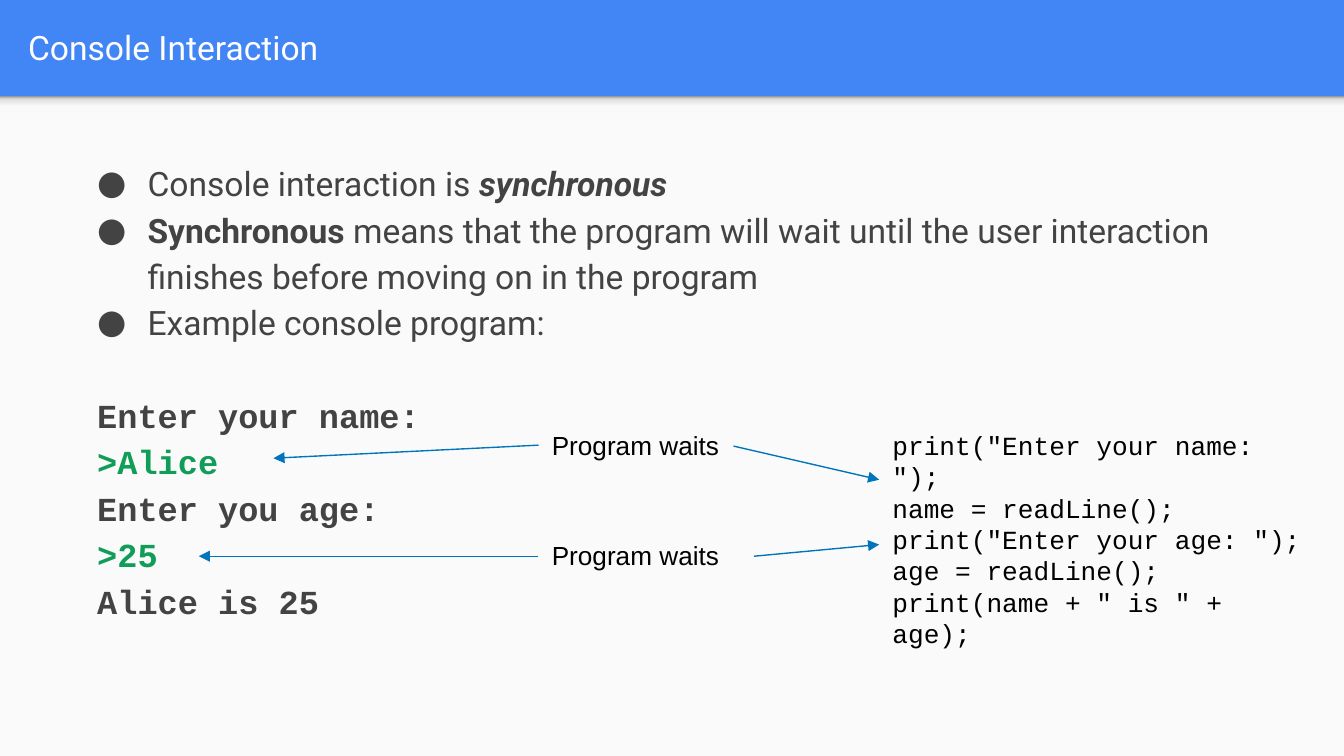
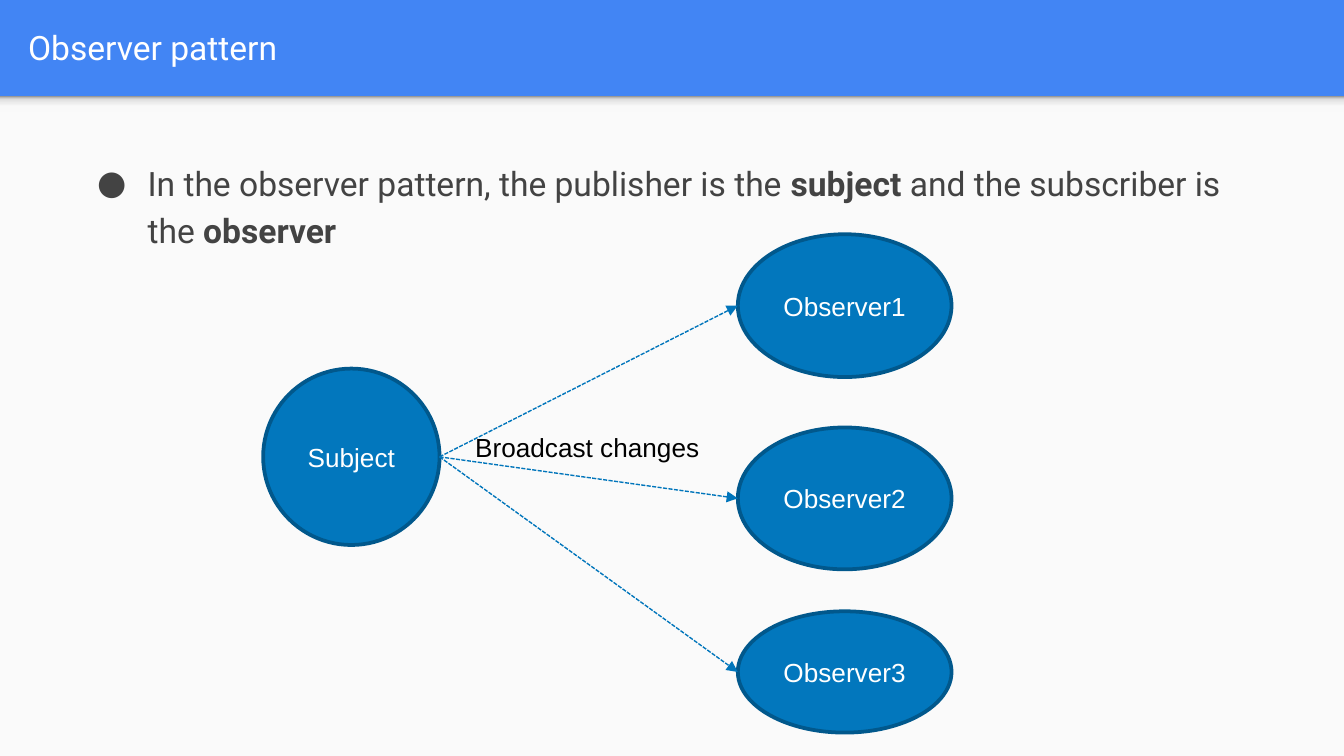
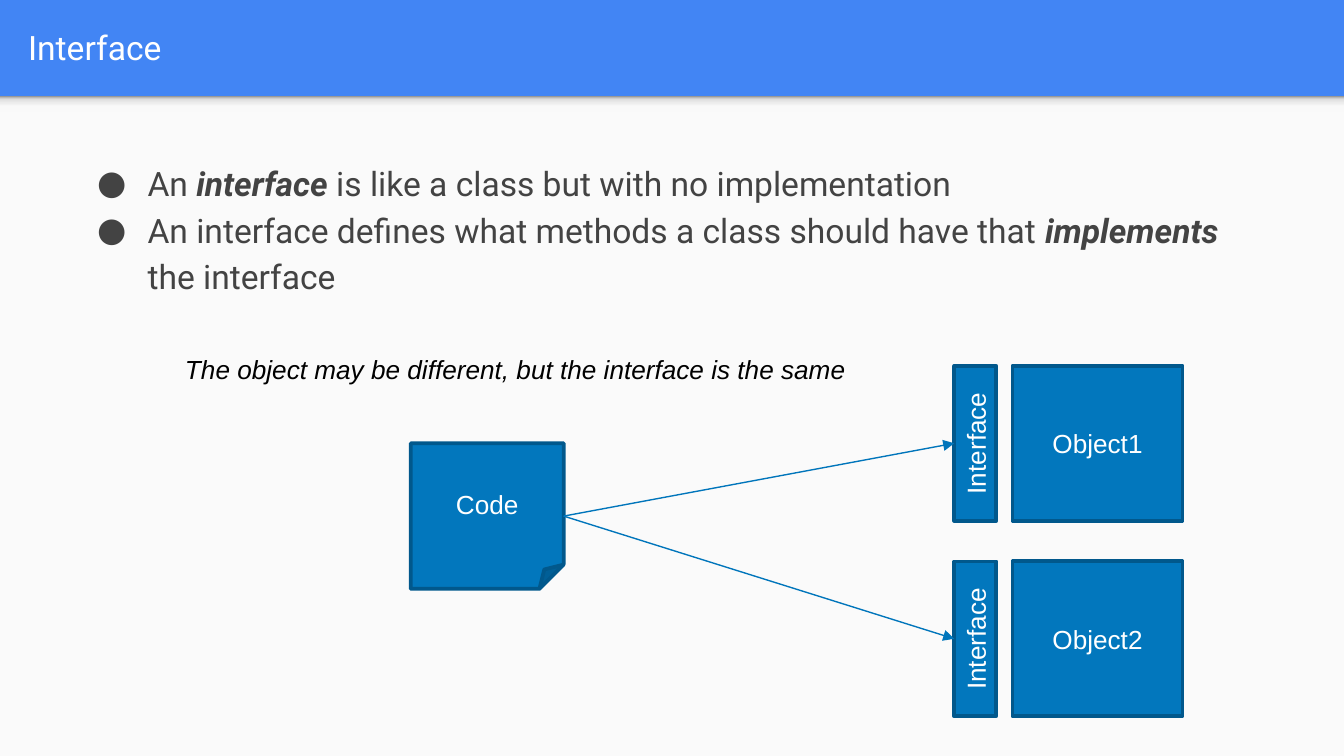
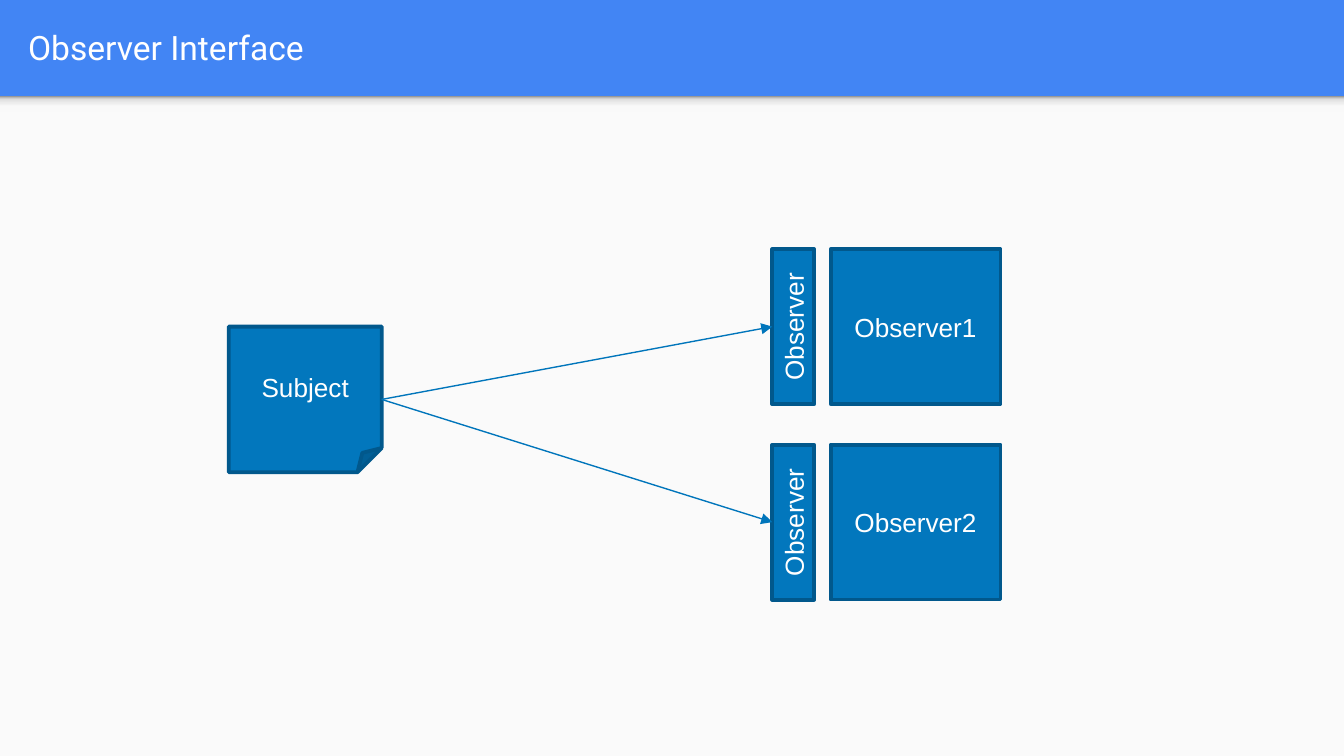
import pptx
import pptx.util
import pptx.dml.color
import pptx.enum.dml
import pptx.enum.shapes
import pptx.enum.text
import pptx.oxml
import pptx.oxml.ns
from lxml import etree

Pt = pptx.util.Pt
SHAPES = pptx.enum.shapes.MSO_SHAPE
ANCHOR = pptx.enum.text.MSO_ANCHOR
ALIGN = pptx.enum.text.PP_ALIGN
qn = pptx.oxml.ns.qn

COLOURS = {
    "band": "4285F4", "paper": "FAFAFA", "title": "FFFFFF", "body": "434343",
    "input": "0F9D58", "label": "000000", "node": "0277BD", "edge": "01588C",
    "arrow": "0075BB",
}
BAND_SHADOW = [(0, "F9F9F9"), (36, "F9F9F9"), (80, "DEDEDE"), (100, "999999")]
WIDTH, HEIGHT, BAND = 720, 405, 51.5


def rgb(name):
    return pptx.dml.color.RGBColor.from_string(COLOURS[name])


class Deck:
    def __init__(self):
        self.deck = pptx.Presentation()
        self.deck.slide_width, self.deck.slide_height = Pt(WIDTH), Pt(HEIGHT)
        self.page = None

    # Shared frame: blue background, paper, soft shadow and title
    def start_page(self, title):
        self.page = self.deck.slides.add_slide(self.deck.slide_layouts[6])
        self.page.background.fill.solid()
        self.page.background.fill.fore_color.rgb = rgb("band")
        self.shape(SHAPES.RECTANGLE, 0, BAND, WIDTH, HEIGHT - BAND, "paper")
        self.band_shadow()
        box = self.text_box(8, 1.5, 695, 47.5, inset=7.2)
        box.vertical_anchor = ANCHOR.MIDDLE
        self.span(box.paragraphs[0], title, "Roboto", 18, "title")

    def band_shadow(self):
        shadow = self.shape(SHAPES.RECTANGLE, 0, BAND, WIDTH, 8.5, "paper")
        properties = shadow.fill._xPr
        solid = properties.find(qn("a:solidFill"))
        gradient = etree.Element(qn("a:gradFill"), rotWithShape="1")
        stops = etree.SubElement(gradient, qn("a:gsLst"))
        for position, colour in BAND_SHADOW:
            stop = etree.SubElement(stops, qn("a:gs"), pos=str(position * 1000))
            etree.SubElement(stop, qn("a:srgbClr"), val=colour)
        etree.SubElement(gradient, qn("a:lin"), ang="16200000", scaled="0")
        properties.replace(solid, gradient)

    # Basic elements
    def shape(self, kind, left, top, width, height, fill):
        shape = self.page.shapes.add_shape(kind, Pt(left), Pt(top), Pt(width), Pt(height))
        shape.shadow.inherit = False
        shape.fill.solid()
        shape.fill.fore_color.rgb = rgb(fill)
        shape.line.fill.background()
        return shape

    def node(self, kind, left, top, width, height, text):
        node = self.shape(kind, left, top, width, height, "node")
        node.line.color.rgb = rgb("edge")
        node.line.width = Pt(2)
        node.text_frame.vertical_anchor = ANCHOR.MIDDLE
        para = node.text_frame.paragraphs[0]
        para.alignment = ALIGN.CENTER
        self.span(para, text, "Arial", 14, "title")
        return node

    def text_box(self, left, top, width, height, inset=None):
        box = self.page.shapes.add_textbox(Pt(left), Pt(top), Pt(width), Pt(height)).text_frame
        box.word_wrap = True
        if inset is not None:
            box.margin_left = box.margin_right = Pt(inset)
            box.margin_top = box.margin_bottom = Pt(inset)
        return box

    def span(self, para, text, font, size, colour, style=""):
        span = para.add_run()
        span.text = text
        span.font.name, span.font.size = font, Pt(size)
        span.font.color.rgb = rgb(colour)
        span.font.bold, span.font.italic = "b" in style, "i" in style

    def paragraph(self, box):
        first = box.paragraphs[0]
        return box.add_paragraph() if first.runs else first

    def label(self, left, top, width, text, style=""):
        box = self.text_box(left, top, width, 24.5)
        box.word_wrap = False
        box.auto_size = pptx.enum.text.MSO_AUTO_SIZE.SHAPE_TO_FIT_TEXT
        self.span(box.paragraphs[0], text, "Arial", 14, "label", style)

    def arrow(self, start, end, dashed=False):
        arrow = self.page.shapes.add_connector(
            pptx.enum.shapes.MSO_CONNECTOR.STRAIGHT, *map(Pt, start + end))
        arrow.line.color.rgb = rgb("arrow")
        arrow.line.width = Pt(0.75)
        if dashed:
            arrow.line.dash_style = pptx.enum.dml.MSO_LINE.SQUARE_DOT
        etree.SubElement(arrow.line._get_or_add_ln(), qn("a:tailEnd"), type="triangle")
        etree.SubElement(arrow._element.spPr, qn("a:effectLst"))

    # Body text: each bullet is a list of (text, style) pairs
    def body(self, bullets):
        box = self.text_box(36, 77, 647.5, 292.5, inset=7.2)
        for bullet in bullets:
            para = self.paragraph(box)
            para.line_spacing = 1.15
            properties = para._p.get_or_add_pPr()
            properties.set("marL", str(Pt(36)))
            properties.set("indent", str(-Pt(27)))
            colour = etree.SubElement(properties, qn("a:buClr"))
            etree.SubElement(colour, qn("a:srgbClr"), val=COLOURS["body"])
            etree.SubElement(properties, qn("a:buFont"), typeface="Roboto")
            etree.SubElement(properties, qn("a:buChar"), char="●")
            for text, style in bullet:
                self.span(para, text, "Roboto", 18, "body", style)
        return box

    def console(self, box, lines):
        for index, line in enumerate(lines):
            para = self.paragraph(box)
            para.line_spacing = 1.15
            para.space_before = Pt(0 if index else 24.9)
            para._p.get_or_add_pPr().set("marL", str(Pt(9)))
            colour = "input" if line.startswith(">") else "body"
            self.span(para, line, "Courier New", 18, colour, "b")

    def code(self, left, top, width, height, lines):
        box = self.text_box(left, top, width, height)
        for line in lines:
            self.span(self.paragraph(box), line, "Courier New", 14, "label")

    # A caller that reaches several objects through the same interface
    def interface_diagram(self, left, top, caller, interface, names):
        caller_width, caller_height = 82, 78
        width, height, depth = 91, 83, 22.5
        object_left = left + 322.5
        strip_middle = object_left - 20
        start = (left + caller_width, top + caller_height / 2)
        self.node(SHAPES.FOLDED_CORNER, left, top, caller_width, caller_height, caller)
        for index, name in enumerate(names):
            object_top = top - 41.5 + index * 104.75
            middle = object_top + height / 2
            self.node(SHAPES.RECTANGLE, object_left, object_top, width, height, name)
            strip = self.node(SHAPES.RECTANGLE, strip_middle - height / 2,
                              middle - depth / 2, height, depth, interface)
            strip.rotation = 270
            self.arrow(start, (strip_middle - depth / 2, middle))


def console_page(deck):
    deck.start_page("Console Interaction")
    box = deck.body([
        [("Console interaction is ", ""), ("synchronous", "bi")],
        [("Synchronous", "b"), (" means that the program will wait until the user "
                                "interaction finishes before moving on in the program", "")],
        [("Example console program:", "")],
    ])
    deck.console(box, ["Enter your name:", ">Alice", "Enter you age:", ">25", "Alice is 25"])
    for top in (226.5, 285.5):
        deck.label(288.5, top, 104.5, "Program waits")
    deck.code(471, 226.5, 241, 92, [
        'print("Enter your name: ");',
        "name = readLine();",
        'print("Enter your age: ");',
        "age = readLine();",
        'print(name + " is " + age);',
    ])
    for start, end in [((288.5, 238.5), (146.5, 245.5)), ((288.5, 298), (106.5, 298)),
                       ((393, 239), (471, 257)), ((404, 298), (471, 291.75))]:
        deck.arrow(start, end)


def pattern_page(deck):
    deck.start_page("Observer pattern")
    deck.body([[("In the observer pattern, the publisher is the ", ""), ("subject", "b"),
                (" and the subscriber is the ", ""), ("observer", "b")]])
    left, top, size = 141, 197.5, 94.5
    deck.node(SHAPES.OVAL, left, top, size, size, "Subject")
    observers = [(125.5, 76.5), (229, 76), (327.5, 65)]
    for number, (observer_top, height) in enumerate(observers, 1):
        deck.node(SHAPES.OVAL, 395.25, observer_top, 114.5, height, f"Observer{number}")
        deck.arrow((left + size, top + size / 2),
                   (395.25, observer_top + height / 2), dashed=True)
    deck.label(247.5, 227.5, 135.5, "Broadcast changes")


def interface_page(deck):
    deck.start_page("Interface")
    deck.body([
        [("An ", ""), ("interface", "bi"), (" is like a class but with no implementation", "")],
        [("An interface defines what methods a class should have that ", ""),
         ("implements", "bi"), (" the interface", "")],
    ])
    deck.interface_diagram(220, 237.5, "Code", "Interface", ["Object1", "Object2"])
    deck.label(92, 185.75, 370, "The object may be different, but the interface is the same", "i")


def observer_page(deck):
    deck.start_page("Observer Interface")
    deck.interface_diagram(122.5, 175, "Subject", "Observer", ["Observer1", "Observer2"])


def main():
    deck = Deck()
    for build in (console_page, pattern_page, interface_page, observer_page):
        build(deck)
    deck.deck.save("out.pptx")


if __name__ == "__main__":
    main()
